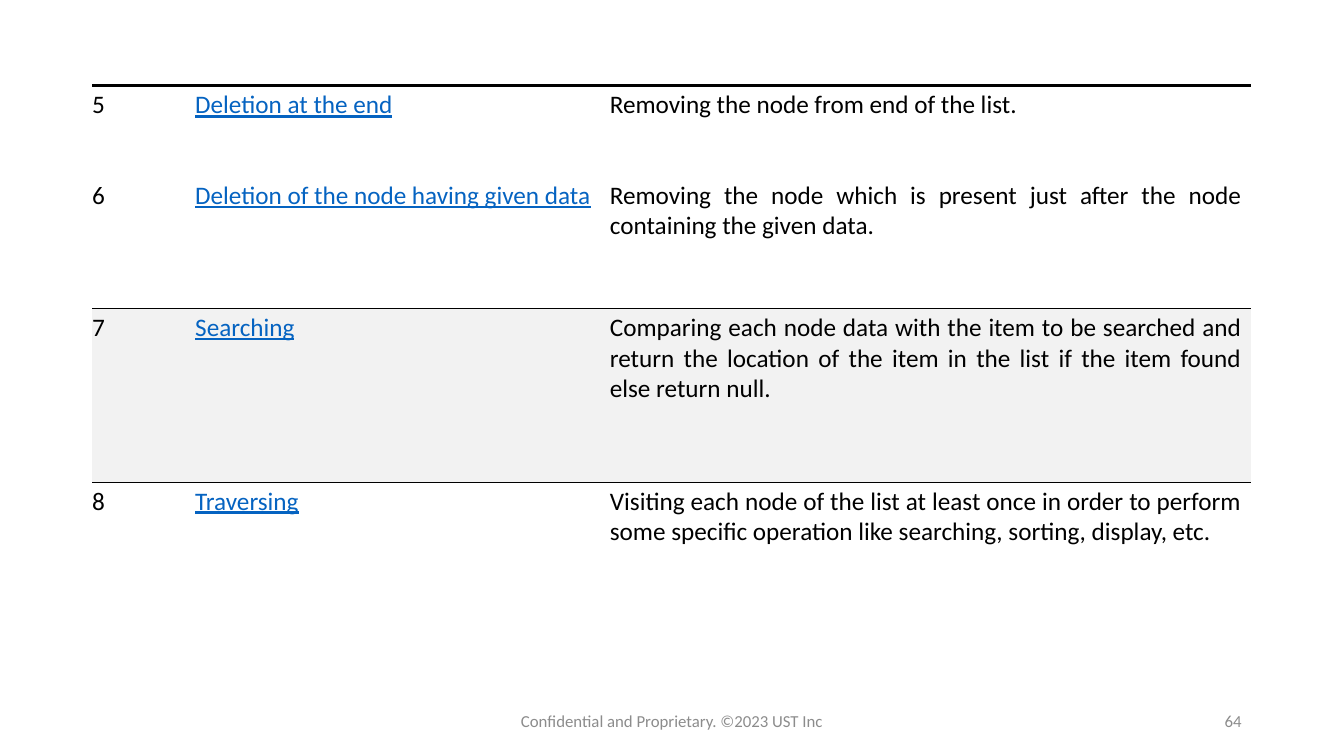
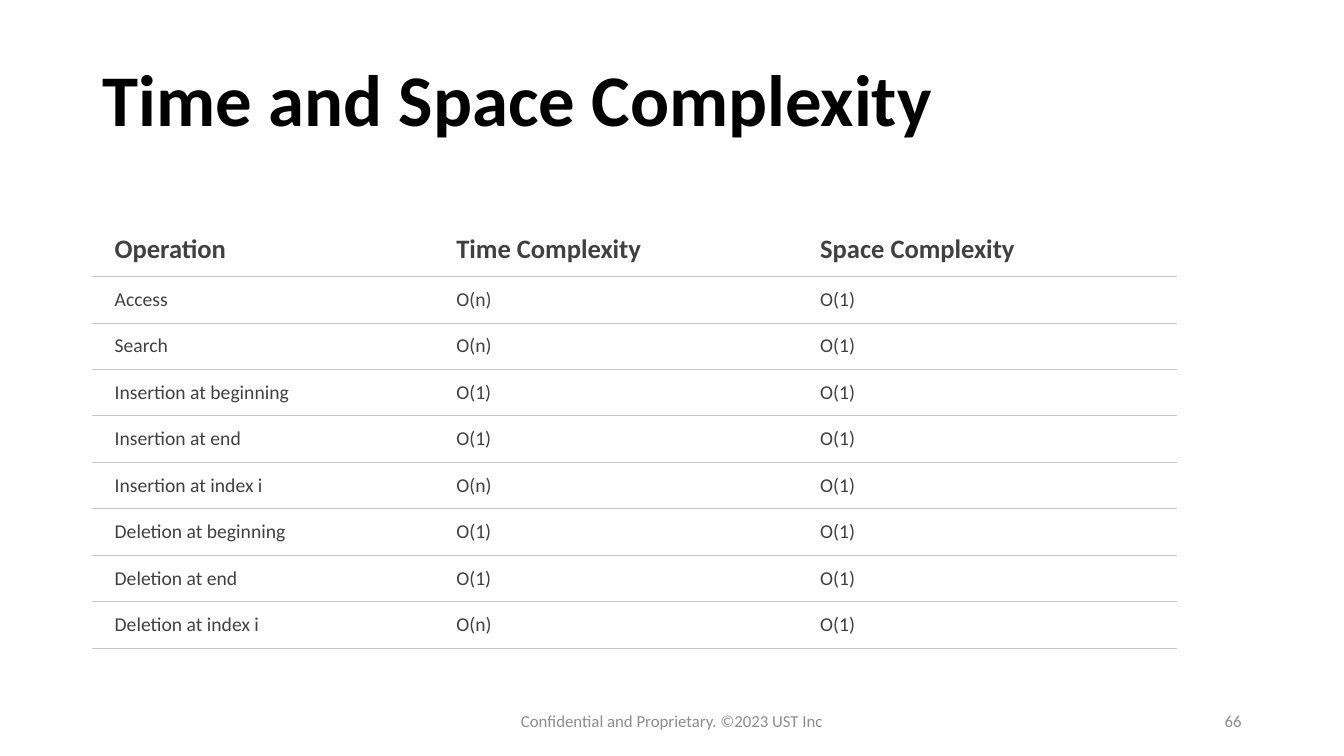
from lxml import etree
from pptx import Presentation
from pptx.dml.color import RGBColor
from pptx.enum.text import MSO_ANCHOR, MSO_AUTO_SIZE, PP_ALIGN
from pptx.oxml.ns import qn
from pptx.util import Cm, Pt

LEFT, CENTER, RIGHT, JUSTIFY = PP_ALIGN.LEFT, PP_ALIGN.CENTER, PP_ALIGN.RIGHT, PP_ALIGN.JUSTIFY
TOP, MIDDLE, BOTTOM = MSO_ANCHOR.TOP, MSO_ANCHOR.MIDDLE, MSO_ANCHOR.BOTTOM
NO_AUTOFIT = MSO_AUTO_SIZE.NONE

BLACK = RGBColor(0x00, 0x00, 0x00)
DARK_GREY = RGBColor(0x40, 0x40, 0x40)
FOOTER_GREY = RGBColor(0x8C, 0x8C, 0x8C)
RULE_GREY = RGBColor(0xC7, 0xC6, 0xC1)
BAND_GREY = RGBColor(0xF2, 0xF2, 0xF2)
LINK_BLUE = RGBColor(0x05, 0x63, 0xC1)

FONT = "Calibri"
FOOTER = "Confidential and Proprietary. ©2023 UST Inc"
PLAIN_TABLE_STYLE = "{2D5ABB26-0587-4C30-8999-92F81FD0307C}"
TITLE_ONLY, BLANK = 5, 6

OPERATIONS = [
    ("5", "Deletion at the end", "Removing the node from end of the list."),
    ("6", "Deletion of the node having given data",
     "Removing the node which is present just after the node containing the given data."),
    ("7", "Searching",
     "Comparing each node data with the item to be searched and return the location "
     "of the item in the list if the item found else return null."),
    ("8", "Traversing",
     "Visiting each node of the list at least once in order to perform some specific "
     "operation like searching, sorting, display, etc."),
]
COMPLEXITIES = [
    ("Operation", "Time Complexity", "Space Complexity"),
    ("Access", "O(n)", "O(1)"),
    ("Search", "O(n)", "O(1)"),
    ("Insertion at beginning", "O(1)", "O(1)"),
    ("Insertion at end", "O(1)", "O(1)"),
    ("Insertion at index i", "O(n)", "O(1)"),
    ("Deletion at beginning", "O(1)", "O(1)"),
    ("Deletion at end", "O(1)", "O(1)"),
    ("Deletion at index i", "O(n)", "O(1)"),
]


def write_text(text_frame, text, size=18, color=BLACK, bold=False, underline=False,
               align=LEFT, line_spacing=None, space_after=0):
    paragraph = text_frame.paragraphs[0]
    paragraph.alignment = align
    paragraph.line_spacing = line_spacing
    paragraph.space_after = Pt(space_after)
    run = paragraph.add_run()
    run.text = text
    font = run.font
    font.name, font.size, font.bold, font.underline = FONT, Pt(size), bold, underline
    font.color.rgb = color


class Deck:
    def __init__(self):
        self.presentation = Presentation()
        self.presentation.slide_width = Cm(33.87)
        self.presentation.slide_height = Cm(19.05)
        self.slide = None

    def add_slide(self, layout, number):
        self.slide = self.presentation.slides.add_slide(self.presentation.slide_layouts[layout])
        self.add_label(FOOTER, 11.22, 11.43, CENTER)
        self.add_label(number, 23.92, 7.62, RIGHT)

    def add_label(self, text, left, width, align):
        text_frame = self.slide.shapes.add_textbox(
            Cm(left), Cm(17.66), Cm(width), Cm(1.01)).text_frame
        text_frame.word_wrap = True
        text_frame.vertical_anchor = MIDDLE
        write_text(text_frame, text, size=12, color=FOOTER_GREY, align=align, space_after=6)

    def add_title(self, text):
        title = self.slide.shapes.title
        title.left, title.top, title.width, title.height = Cm(2.33), Cm(0.51), Cm(29.21), Cm(4.19)
        title.text_frame.auto_size = NO_AUTOFIT
        title.text_frame.vertical_anchor = MIDDLE
        write_text(title.text_frame, text, size=52, bold=True, line_spacing=0.9)

    def add_table(self, rows, left, top, widths, heights):
        table = self.slide.shapes.add_table(
            len(rows), len(widths), Cm(left), Cm(top), Cm(sum(widths)), Cm(sum(heights))).table
        table.first_row = table.horz_banding = False
        table._tbl.tblPr.find(qn("a:tableStyleId")).text = PLAIN_TABLE_STYLE
        for column, width in zip(table.columns, widths):
            column.width = Cm(width)
        for row, height in zip(table.rows, heights):
            row.height = Cm(height)
        return table

    def format_cell(self, cell, text, margins, anchor=TOP, borders=(), fill=None, **text_format):
        cell.margin_left, cell.margin_top, cell.margin_right, cell.margin_bottom = map(Cm, margins)
        cell.vertical_anchor = anchor
        for side, color, width in borders:
            self.add_border(cell, side, color, width)
        if fill is None:
            cell.fill.background()
        else:
            cell.fill.solid()
            cell.fill.fore_color.rgb = fill
        write_text(cell.text_frame, text, **text_format)

    def add_border(self, cell, side, color, width):
        properties = cell._tc.get_or_add_tcPr()
        line = etree.SubElement(properties, qn(f"a:ln{side}"), w=str(Pt(width)))
        fill = etree.SubElement(line, qn("a:solidFill"))
        etree.SubElement(fill, qn("a:srgbClr"), val=str(color))

    def add_operations_slide(self):
        self.add_slide(BLANK, "64")
        table = self.add_table(OPERATIONS, 2.32, 2.16, (2.6, 10.45, 16.15), (2.28, 3.33, 4.38, 3.33))
        thin = (BLACK, 0.5)
        row_borders = {0: [("T", BLACK, 2.25)], 1: [("B", *thin)], 2: [("T", *thin)]}
        for row, texts in enumerate(OPERATIONS):
            for column, text in enumerate(texts):
                is_link = column == 1
                self.format_cell(
                    table.cell(row, column), text, (0, 0.1, 0.23, 0.66),
                    borders=row_borders.get(row, []), fill=BAND_GREY if row == 2 else None,
                    color=LINK_BLUE if is_link else BLACK, underline=is_link, align=JUSTIFY)

    def add_complexity_slide(self):
        self.add_slide(TITLE_ONLY, "66")
        self.add_title("Time and Space Complexity")
        heights = [1.37] + [1.17] * (len(COMPLEXITIES) - 1)
        table = self.add_table(COMPLEXITIES, 2.33, 5.6, (8.61, 9.17, 9.55), heights)
        for row, texts in enumerate(COMPLEXITIES):
            is_header = row == 0
            for column, text in enumerate(texts):
                self.format_cell(
                    table.cell(row, column), text, (0.56, 0.28, 0.41, 0.28),
                    anchor=BOTTOM if is_header else MIDDLE, borders=[("B", RULE_GREY, 0.75)],
                    size=19 if is_header else 14, color=DARK_GREY, bold=is_header)


def main():
    deck = Deck()
    deck.add_operations_slide()
    deck.add_complexity_slide()
    deck.presentation.save("out.pptx")


if __name__ == "__main__":
    main()
